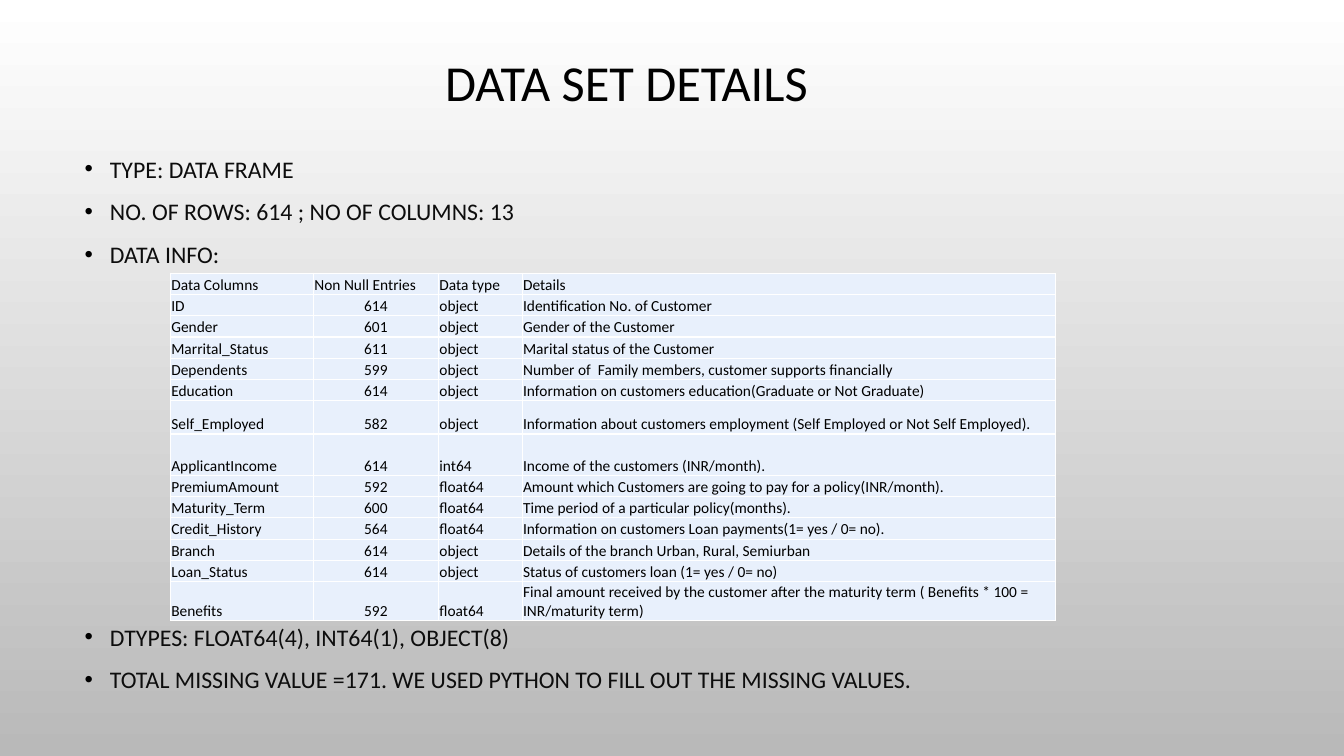
from dataclasses import dataclass

from lxml.etree import SubElement
from pptx import Presentation
from pptx.dml.color import RGBColor
from pptx.enum.text import MSO_ANCHOR, MSO_AUTO_SIZE, PP_ALIGN
from pptx.oxml import parse_xml
from pptx.oxml.ns import nsdecls, qn
from pptx.util import Pt


@dataclass(frozen=True)
class Theme:
    font: str = "Calibri"
    title_size: int = 36
    body_size: int = 17
    table_size: int = 11
    black: str = "000000"
    body_text: str = "0D0D0D"
    cell_fill: str = "E8F0FC"
    cell_border: str = "FFFFFF"
    background_top: str = "FFFFFF"
    background_bottom: str = "B9B9B9"


THEME = Theme()

# Each bullet with the space above it; the large gap makes room for the table
BULLETS = [
    ("TYPE: DATA FRAME", 10),
    ("NO. OF ROWS: 614 ; NO OF COLUMNS: 13", 10),
    ("DATA INFO:", 10),
    ("DTYPES: FLOAT64(4), INT64(1), OBJECT(8)", 253),
    ("TOTAL MISSING VALUE =171. WE USED PYTHON TO FILL OUT THE MISSING VALUES.", 10),
]

COLUMN_WIDTHS = [102.2, 89.3, 59.8, 380.9]
ROW_HEIGHT = 15.2
TALL_ROWS = {"Self_Employed": 23.8, "ApplicantIncome": 29.5, "Benefits": 27.4}
DATA_COLUMNS = [
    ("Data Columns", "Non Null Entries", "Data type", "Details"),
    ("ID", "614", "object", "Identification No. of Customer"),
    ("Gender", "601", "object", "Gender of the Customer"),
    ("Marrital_Status", "611", "object", "Marital status of the Customer"),
    ("Dependents", "599", "object",
     "Number of \u00a0Family members, customer supports financially"),
    ("Education", "614", "object",
     "Information on customers education(Graduate or Not Graduate)"),
    ("Self_Employed", "582", "object",
     "Information about customers employment (Self Employed or Not Self Employed)."),
    ("ApplicantIncome", "614", "int64", "Income of the customers (INR/month)."),
    ("PremiumAmount", "592", "float64",
     "Amount which Customers are going to pay for a policy(INR/month)."),
    ("Maturity_Term", "600", "float64", "Time period of a particular policy(months)."),
    ("Credit_History", "564", "float64",
     "Information on customers Loan payments(1= yes / 0= no)."),
    ("Branch", "614", "object", "Details of the branch Urban, Rural, Semiurban"),
    ("Loan_Status", "614", "object", "Status of customers loan (1= yes / 0= no)"),
    ("Benefits", "592", "float64",
     "Final amount received by the customer after the maturity term "
     "( Benefits * 100 = INR/maturity term)"),
]


def place(shape, left, top, width, height):
    shape.left, shape.top = Pt(left), Pt(top)
    shape.width, shape.height = Pt(width), Pt(height)


def add_run(paragraph, text, size, color):
    run = paragraph.add_run()
    run.text = text
    run.font.name = THEME.font
    run.font.size = Pt(size)
    run.font.bold = False
    run.font.color.rgb = RGBColor.from_string(color)


def set_background(slide):
    fill = slide.background.fill
    fill.gradient()
    fill.gradient_angle = 270
    colors = (THEME.background_top, THEME.background_bottom)
    for stop, position, color in zip(fill.gradient_stops, (0, 1), colors):
        stop.position = position
        stop.color.rgb = RGBColor.from_string(color)


def fill_title(title, text):
    place(title, 96.5, 30.2, 702, 100.8)
    frame = title.text_frame
    frame.auto_size = MSO_AUTO_SIZE.NONE
    frame.vertical_anchor = MSO_ANCHOR.MIDDLE
    frame.margin_bottom = Pt(43)  # lifts the title above the box centre
    paragraph = frame.paragraphs[0]
    paragraph.alignment = PP_ALIGN.CENTER
    paragraph.line_spacing = 0.9
    add_run(paragraph, text, THEME.title_size, THEME.black)


def set_bullet(paragraph):
    properties = paragraph._p.get_or_add_pPr()
    properties.set("marL", str(Pt(18)))
    properties.set("indent", str(Pt(-18)))
    color = SubElement(properties, qn("a:buClr"))
    SubElement(color, qn("a:srgbClr"), val=THEME.black)
    SubElement(properties, qn("a:buFont"), typeface="Arial")
    SubElement(properties, qn("a:buChar"), char="•")


def fill_bullets(body, bullets):
    place(body, 53.3, 106.6, 676.8, 416.2)
    frame = body.text_frame
    frame.auto_size = MSO_AUTO_SIZE.NONE
    frame.vertical_anchor = MSO_ANCHOR.TOP
    for index, (text, space_above) in enumerate(bullets):
        paragraph = frame.add_paragraph() if index else frame.paragraphs[0]
        paragraph.line_spacing = 1.0
        paragraph.space_before = Pt(space_above)
        set_bullet(paragraph)
        add_run(paragraph, text, THEME.body_size, THEME.body_text)


def set_borders(cell):
    properties = cell._tc.get_or_add_tcPr()
    for position, side in enumerate(("lnL", "lnR", "lnT", "lnB")):
        properties.insert(position, parse_xml(
            f'<a:{side} {nsdecls("a")} w="{Pt(1)}"><a:solidFill>'
            f'<a:srgbClr val="{THEME.cell_border}"/></a:solidFill></a:{side}>'))


def fill_cell(cell, text, alignment):
    cell.fill.solid()
    cell.fill.fore_color.rgb = RGBColor.from_string(THEME.cell_fill)
    cell.vertical_anchor = MSO_ANCHOR.BOTTOM
    cell.margin_left = cell.margin_right = cell.margin_top = Pt(0.7)
    cell.margin_bottom = Pt(0)
    set_borders(cell)
    paragraph = cell.text_frame.paragraphs[0]
    paragraph.alignment = alignment
    add_run(paragraph, text, THEME.table_size, THEME.black)


def add_data_table(slide, rows):
    heights = [TALL_ROWS.get(row[0], ROW_HEIGHT) for row in rows]
    table = slide.shapes.add_table(
        len(rows), len(COLUMN_WIDTHS), Pt(121.7), Pt(195.1),
        Pt(sum(COLUMN_WIDTHS)), Pt(sum(heights))).table
    table.first_row = table.horz_banding = False
    for column, width in zip(table.columns, COLUMN_WIDTHS):
        column.width = Pt(width)
    for row_index, (row, height) in enumerate(zip(rows, heights)):
        table.rows[row_index].height = Pt(height)
        for column_index, text in enumerate(row):
            is_count = row_index > 0 and column_index == 1
            alignment = PP_ALIGN.CENTER if is_count else PP_ALIGN.LEFT
            fill_cell(table.cell(row_index, column_index), text, alignment)


def main():
    presentation = Presentation()
    presentation.slide_width, presentation.slide_height = Pt(960), Pt(540)
    slide = presentation.slides.add_slide(presentation.slide_layouts[1])
    set_background(slide)

    # Title and bullets
    fill_title(slide.shapes.title, "DATA SET DETAILS")
    fill_bullets(slide.placeholders[1], BULLETS)

    # Column overview
    add_data_table(slide, DATA_COLUMNS)

    presentation.save("out.pptx")


main()
